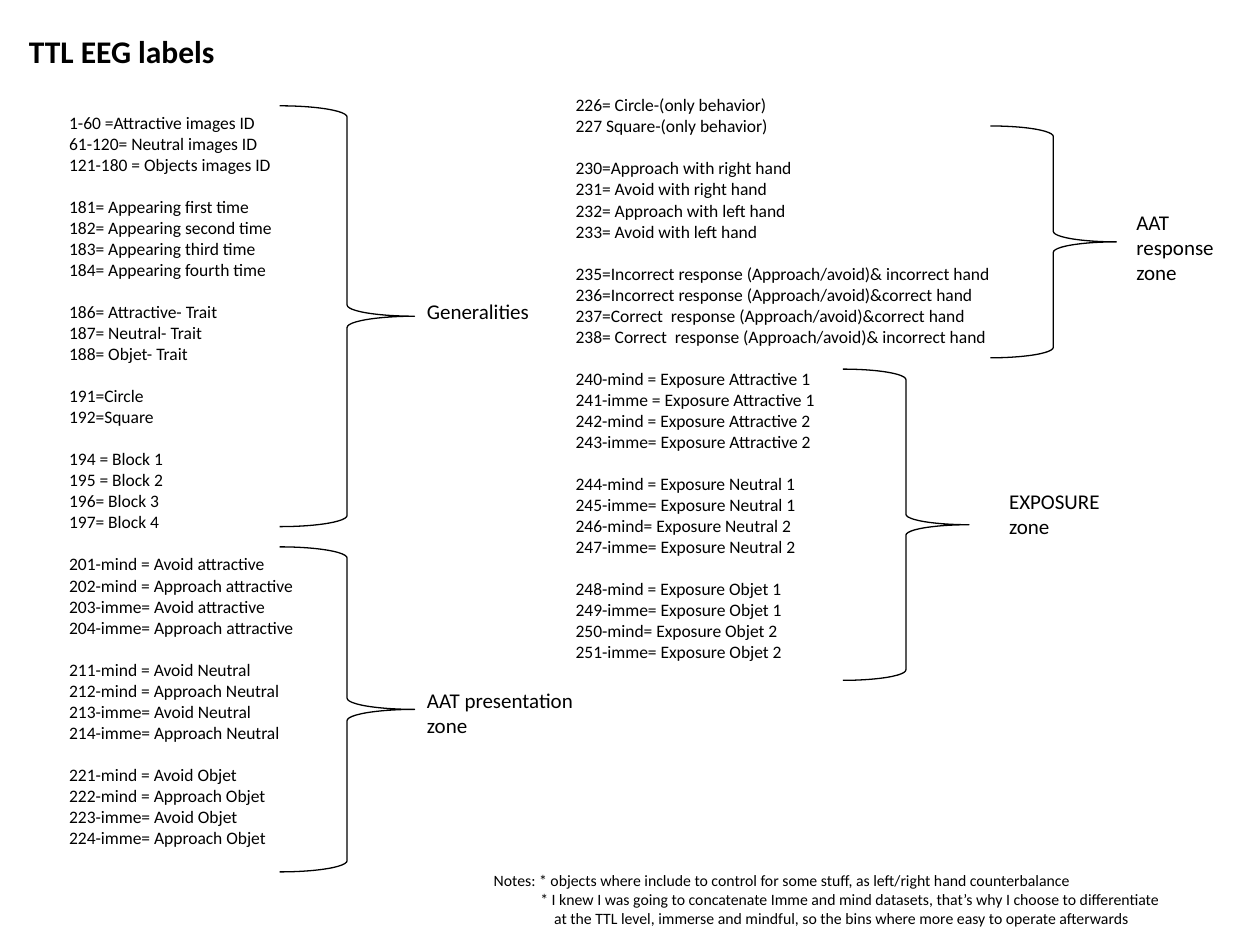
from pptx import Presentation, util as u
from pptx.dml.color import RGBColor
from pptx.enum import shapes, text

COLOURS = {"ink": "000000", "paper": "FFFFFF"}
COLUMNS, ROWS = 100, 75

STIMULI = [
    ["1-60 =Attractive images ID", "61-120= Neutral images ID", "121-180 = Objects images ID"],
    ["181= Appearing first time", "182= Appearing second time",
     "183= Appearing third time", "184= Appearing fourth time"],
    ["186= Attractive- Trait", "187= Neutral- Trait", "188= Objet- Trait"],
    ["191=Circle", "192=Square"],
    ["194 = Block 1", "195 = Block 2", "196= Block 3", "197= Block 4"],
    ["201-mind = Avoid attractive", "202-mind = Approach attractive",
     "203-imme= Avoid attractive", "204-imme= Approach attractive"],
    ["211-mind = Avoid Neutral", "212-mind = Approach Neutral",
     "213-imme= Avoid Neutral", "214-imme= Approach Neutral"],
    ["221-mind = Avoid Objet", "222-mind = Approach Objet",
     "223-imme= Avoid Objet", "224-imme= Approach Objet"],
]
RESPONSES = [
    ["226= Circle-(only behavior)", "227 Square-(only behavior)"],
    ["230=Approach with right hand", "231= Avoid with right hand",
     "232= Approach with left hand", "233= Avoid with left hand"],
    ["235=Incorrect response (Approach/avoid)& incorrect hand",
     "236=Incorrect response (Approach/avoid)&correct hand",
     "237=Correct  response (Approach/avoid)&correct hand",
     "238= Correct  response (Approach/avoid)& incorrect hand"],
    ["240-mind = Exposure Attractive 1", "241-imme = Exposure Attractive 1",
     "242-mind = Exposure Attractive 2", "243-imme= Exposure Attractive 2"],
    ["244-mind = Exposure Neutral 1", "245-imme= Exposure Neutral 1",
     "246-mind= Exposure Neutral 2", "247-imme= Exposure Neutral 2"],
    ["248-mind = Exposure Objet 1", "249-imme= Exposure Objet 1",
     "250-mind= Exposure Objet 2", "251-imme= Exposure Objet 2"],
]
# Brace area, label area, label lines, whether the label wraps
ZONES = [
    ((22.2, 8.4, 10.7, 33.4), (32.9, 23.2, 10.3, 3), ["Generalities"], False),
    ((22.2, 43.4, 10.7, 25.8), (32.9, 54.1, 13.9, 5), ["AAT presentation", "zone"], False),
    ((66.9, 29.3, 10, 24.7), (79.1, 38.3, 10.1, 5), ["EXPOSURE zone"], True),
    ((78.6, 10, 10, 18.4), (89.2, 16.1, 10.1, 7.1), ["AAT response", "zone"], True),
]
# Left indent in inches, line
NOTES = [
    (0, "Notes: * objects where include to control for some stuff, as left/right hand counterbalance"),
    (0.37, "* I knew I was going to concatenate Imme and mind datasets, "
           "that’s why I choose to differentiate"),
    (0.48, "at the TTL level, immerse and mindful, so the bins where more easy to operate afterwards"),
]


class LabelSheet:
    """Holds the style and the slide; areas are (column, row, columns, rows)."""

    def __init__(self, deck):
        self.cell = deck.slide_width / COLUMNS, deck.slide_height / ROWS
        self.slide = deck.slides.add_slide(deck.slide_layouts[5])
        self.ink = RGBColor.from_string(COLOURS["ink"])
        fill = self.slide.background.fill
        fill.solid()
        fill.fore_color.rgb = RGBColor.from_string(COLOURS["paper"])

    def place(self, area):
        return [round(length * self.cell[i % 2]) for i, length in enumerate(area)]

    def set_lines(self, frame, lines, size, bold=False, wrap=True):
        """Fill a text frame and return its paragraphs."""
        frame_format = {"word_wrap": wrap, "auto_size": text.MSO_AUTO_SIZE.NONE,
                        "vertical_anchor": text.MSO_ANCHOR.TOP}
        for name, value in frame_format.items():
            setattr(frame, name, value)
        frame.text = "\n".join(lines)
        font_format = {"name": "Calibri", "size": u.Pt(size), "bold": bold}
        for paragraph in frame.paragraphs:
            paragraph.alignment = text.PP_ALIGN.LEFT
            font = paragraph.runs[0].font
            font.color.rgb = self.ink
            for name, value in font_format.items():
                setattr(font, name, value)
        return frame.paragraphs

    def title(self, area, line):
        heading = self.slide.shapes.title
        heading.left, heading.top, heading.width, heading.height = self.place(area)
        self.set_lines(heading.text_frame, [line], 18, bold=True, wrap=False)

    def label(self, area, lines, size=12, wrap=True):
        box = self.slide.shapes.add_textbox(*self.place(area))
        return self.set_lines(box.text_frame, lines, size, wrap=wrap)

    def code_list(self, area, groups):
        """List the codes, with one line's gap before each later group."""
        paragraphs = self.label(area, [code for group in groups for code in group], size=10)
        start = 0
        for group in groups[:-1]:
            start += len(group)
            paragraphs[start].space_before = u.Pt(12)

    def brace(self, area):
        brace = self.slide.shapes.add_shape(shapes.MSO_SHAPE.RIGHT_BRACE, *self.place(area))
        brace.shadow.inherit = False
        brace.fill.background()
        brace.line.color.rgb = self.ink
        brace.line.width = u.Pt(0.75)

    def notes(self, area, entries):
        paragraphs = self.label(area, [line for _, line in entries], size=9)
        for paragraph, (indent, _) in zip(paragraphs, entries):
            paragraph._p.get_or_add_pPr().set("marL", str(u.Inches(indent)))


def main():
    deck = Presentation()
    deck.slide_width, deck.slide_height = u.Inches(10), u.Inches(7.5)
    sheet = LabelSheet(deck)
    sheet.title((1.3, 2, 16.9, 4), "TTL EEG labels")
    sheet.code_list((4.5, 8.4, 36.5, 65), STIMULI)
    sheet.code_list((44.7, 7, 37.4, 48.1), RESPONSES)
    for brace_area, label_area, lines, wrap in ZONES:
        sheet.brace(brace_area)
        sheet.label(label_area, lines, wrap=wrap)
    sheet.notes((38.2, 68.6, 55.6, 7.1), NOTES)
    deck.save("out.pptx")


if __name__ == "__main__":
    main()
